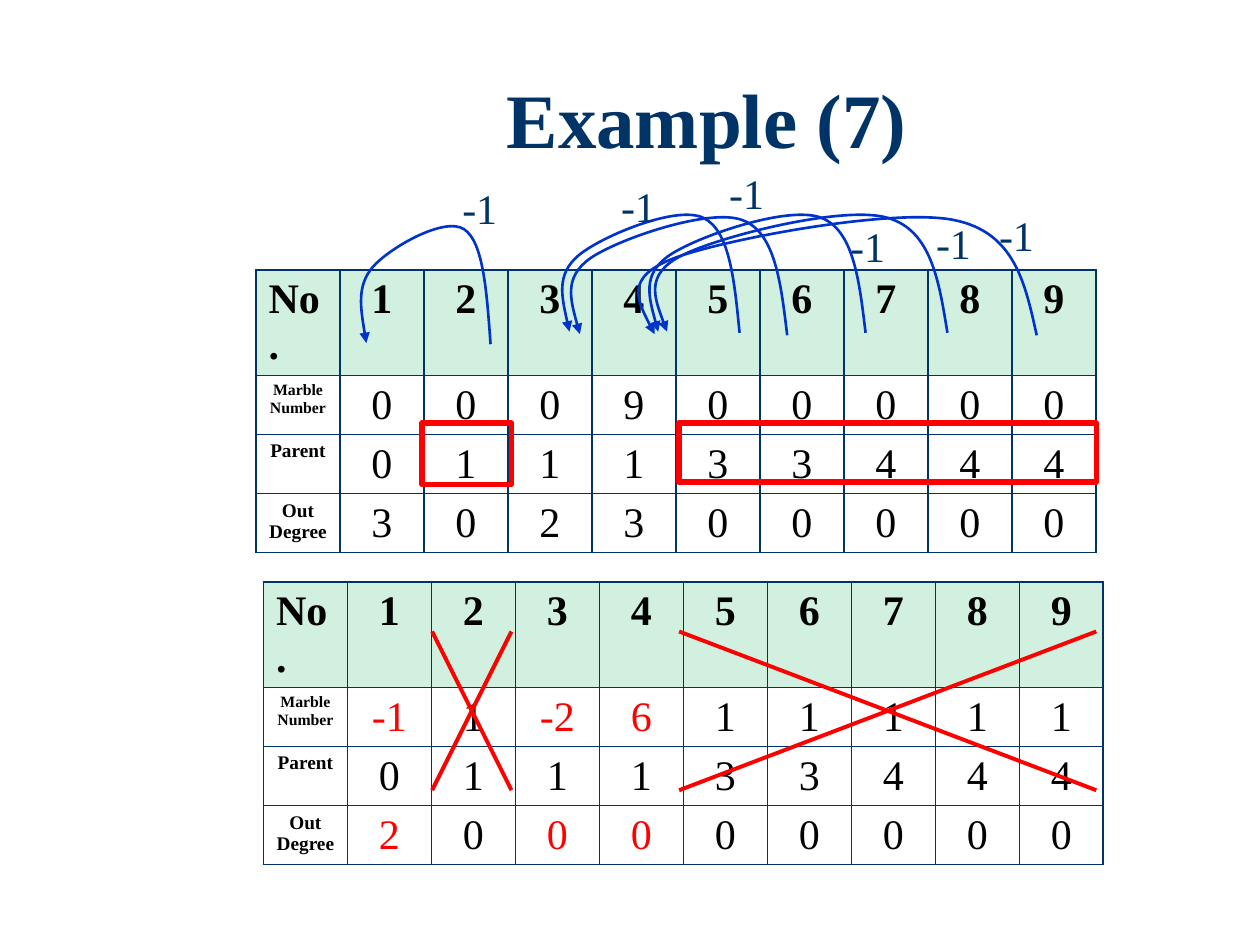
from lxml import etree
from pptx import Presentation
from pptx.dml.color import RGBColor
from pptx.enum.shapes import MSO_CONNECTOR, MSO_SHAPE
from pptx.enum.text import MSO_ANCHOR, PP_ALIGN
from pptx.oxml.ns import qn
from pptx.util import Cm, Pt

# Content
TITLE = "Example (7)"
FONT = "Times New Roman"
COLORS = {"navy": "003366", "mint": "D1F0E0", "white": "FFFFFF",
          "black": "000000", "red": "FF0000", "blue": "0033CC"}
ROW_LABELS = [("No.", 24), ("Marble\nNumber", 9), ("Parent", 11), ("Out\nDegree", 11)]
NODES = [1, 2, 3, 4, 5, 6, 7, 8, 9]
PARENTS = [0, 1, 1, 1, 3, 3, 4, 4, 4]

# Left, top, value rows, (row, column) of the changed cells
TABLES = [
    (5.16, 5.44, [NODES, [0, 0, 0, 9, 0, 0, 0, 0, 0], PARENTS,
                  [3, 0, 2, 3, 0, 0, 0, 0, 0]], []),
    (5.31, 11.73, [NODES, [-1, 1, -2, 6, 1, 1, 1, 1, 1], PARENTS,
                   [2, 0, 0, 0, 0, 0, 0, 0, 0]],
     [(r, c) for r in (1, 3) for c in (1, 3, 4)]),
]
TABLE_W, TABLE_H = 16.93, 4.27

# Left, top, width, height of the frames around leaf parents
FRAMES = [(13.69, 8.53, 8.41, 1.19), (8.51, 8.53, 1.8, 1.24)]

# Left and right of the crossed-out columns
CROSSES = [(13.69, 22.1), (8.71, 10.31)]
CROSS_TOP, CROSS_BOTTOM = 12.73, 15.93

# Left, top, width of each arrow from a leaf to its parent
ARROWS = [(13.11, 4.32, 4.34), (13.23, 4.32, 5.87), (12.9, 4.37, 8),
          (11.53, 4.37, 4.34), (11.35, 4.32, 3.56), (7.29, 4.55, 2.6)]
ARROW_H = 2.39
UNIT = 1000
ARROW_START = (1000, 1000)
ARROW_CURVES = [
    [(971, 565), (945, 135), (794, 30)],
    [(642, -80), (212, 190), (86, 350)],
    [(-40, 510), (0, 750), (37, 990)],
]

# Left and top of each decrement label
DECREMENT = "-1"
LABELS = [(19.89, 4.09), (18.62, 4.27), (16.89, 4.32),
          (14.45, 3.25), (12.27, 3.51), (9.07, 3.56)]


def rgb(name):
    return RGBColor.from_string(COLORS[name])


def add_run(p, text, size, color, bold=False):
    r = p.add_run()
    r.text = text
    r.font.name, r.font.size, r.font.bold = FONT, Pt(size), bold
    r.font.color.rgb = rgb(color)


def set_line(sp, color, width):
    sp.line.color.rgb = rgb(color)
    sp.line.width = Pt(width)


def fill_cell(cell, text, size, color, bold, fill, align):
    tc_pr = cell._tc.get_or_add_tcPr()
    for side in ("a:lnL", "a:lnR", "a:lnT", "a:lnB"):
        ln = etree.SubElement(tc_pr, qn(side), w=str(Pt(1)))
        solid = etree.SubElement(ln, qn("a:solidFill"))
        etree.SubElement(solid, qn("a:srgbClr"), val=COLORS["navy"])
    cell.fill.solid()
    cell.fill.fore_color.rgb = rgb(fill)
    tf = cell.text_frame
    for i, line in enumerate(text.split("\n")):
        p = tf.add_paragraph() if i else tf.paragraphs[0]
        p.alignment = align
        add_run(p, line, size, color, bold)


def add_marble_table(slide, left, top, rows, changed):
    n_cols = len(NODES) + 1
    table = slide.shapes.add_table(len(rows), n_cols, Cm(left), Cm(top),
                                   Cm(TABLE_W), Cm(TABLE_H)).table
    table.first_row = table.horz_banding = False
    for r, ((label, size), values) in enumerate(zip(ROW_LABELS, rows)):
        fill = "white" if r else "mint"
        fill_cell(table.cell(r, 0), label, size, "black", True, fill,
                  PP_ALIGN.CENTER if r else PP_ALIGN.LEFT)
        for c, value in enumerate(values, 1):
            color = "red" if (r, c) in changed else "black"
            fill_cell(table.cell(r, c), str(value), 24, color, r == 0, fill,
                      PP_ALIGN.CENTER)


def add_points(parent, points):
    for x, y in points:
        etree.SubElement(parent, qn("a:pt"), x=str(x), y=str(y))


def add_curved_arrow(slide, left, top, width):
    builder = slide.shapes.build_freeform(
        0, 0, scale=(Cm(width) / UNIT, Cm(ARROW_H) / UNIT))
    builder.add_line_segments([(UNIT, UNIT)], close=False)
    sp = builder.convert_to_shape(Cm(left), Cm(top))
    sp.shadow.inherit = False
    sp.fill.background()
    set_line(sp, "blue", 1.5)
    etree.SubElement(sp.line._get_or_add_ln(), qn("a:tailEnd"), type="triangle")
    # Swap the straight segment for Bezier curves
    outline = next(sp._element.iter(qn("a:path")))
    for child in list(outline):
        outline.remove(child)
    outline.set("w", str(UNIT))
    outline.set("h", str(UNIT))
    outline.set("fill", "none")
    add_points(etree.SubElement(outline, qn("a:moveTo")), [ARROW_START])
    for curve in ARROW_CURVES:
        add_points(etree.SubElement(outline, qn("a:cubicBezTo")), curve)


def main():
    prs = Presentation()
    prs.slide_width, prs.slide_height = Cm(25.4), Cm(19.05)
    slide = prs.slides.add_slide(prs.slide_layouts[5])
    shapes = slide.shapes

    # Title
    title = shapes.title
    title.left, title.top, title.width, title.height = map(Cm, (4.09, 1.32, 20.32, 2.34))
    title.text_frame.vertical_anchor = MSO_ANCHOR.MIDDLE
    p = title.text_frame.paragraphs[0]
    p.alignment, p.line_spacing = PP_ALIGN.CENTER, 0.9
    add_run(p, TITLE, 44, "navy", True)

    # Tables before and after the step
    for table in TABLES:
        add_marble_table(slide, *table)

    # Frames around the leaf parents
    for frame in FRAMES:
        sp = shapes.add_shape(MSO_SHAPE.RECTANGLE, *map(Cm, frame))
        sp.shadow.inherit = False
        sp.fill.background()
        set_line(sp, "red", 3)

    # Crosses over the finished columns
    for left, right in CROSSES:
        for x1, x2 in ((left, right), (right, left)):
            line = shapes.add_connector(MSO_CONNECTOR.STRAIGHT, Cm(x1), Cm(CROSS_TOP),
                                        Cm(x2), Cm(CROSS_BOTTOM))
            set_line(line, "red", 2.25)
            etree.SubElement(line._element.spPr, qn("a:effectLst"))

    # Arrows and their decrements
    for arrow in ARROWS:
        add_curved_arrow(slide, *arrow)
    for left, top in LABELS:
        box = shapes.add_textbox(Cm(left), Cm(top), Cm(1.22), Cm(1.27))
        box.text_frame.word_wrap = False
        add_run(box.text_frame.paragraphs[0], DECREMENT, 24, "navy")

    prs.save("out.pptx")


if __name__ == "__main__":
    main()
